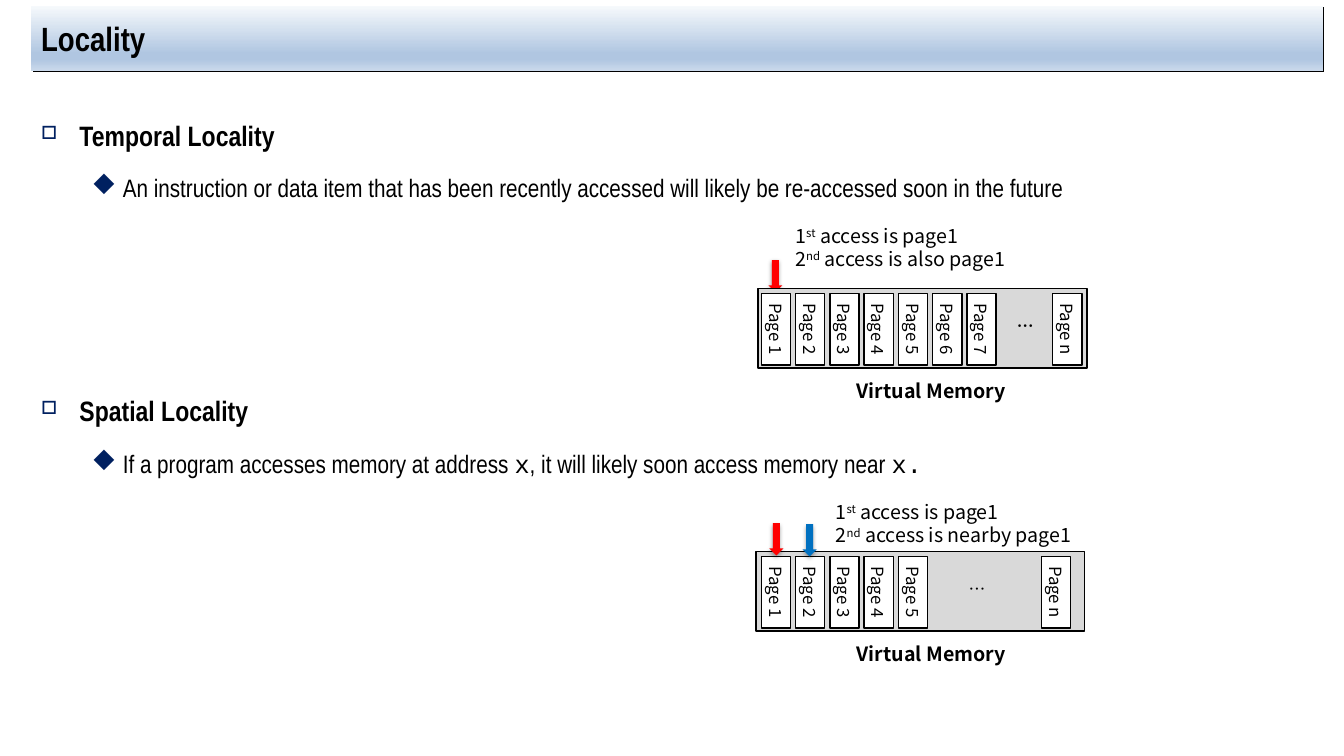
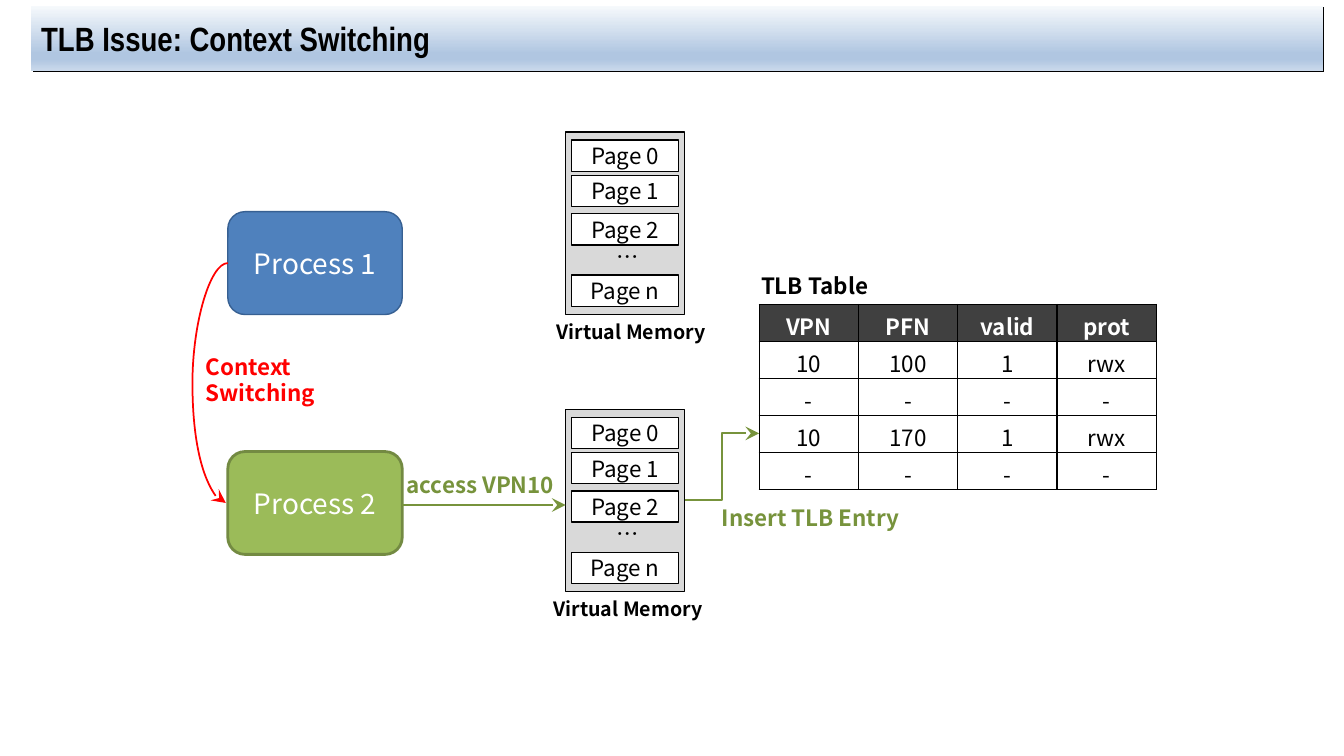
from lxml.etree import SubElement
from pptx import Presentation
from pptx.dml.color import RGBColor as Rgb
from pptx.enum.shapes import MSO_CONNECTOR as Link, MSO_SHAPE as Form
from pptx.enum.text import MSO_ANCHOR as Anchor, PP_ALIGN as Align
from pptx.oxml.ns import qn
from pptx.util import Inches, Pt

BLACK, WHITE = Rgb(0, 0, 0), Rgb(255, 255, 255)
GREY, DARK = Rgb(0xD9, 0xD9, 0xD9), Rgb(0x40, 0x40, 0x40)
RED, SKY, NAVY = Rgb(255, 0, 0), Rgb(0, 0x70, 0xC0), Rgb(0, 0x20, 0x60)
BLUE, STEEL = Rgb(0x4F, 0x81, 0xBD), Rgb(0x37, 0x60, 0x92)
GREEN, MOSS = Rgb(0x9B, 0xBB, 0x59), Rgb(0x73, 0x8A, 0x42)
OLIVE = Rgb(0x77, 0x93, 0x3C)
SANS, HEAD, CODE = "Noto Sans CJK KR", "Arial Narrow", "Courier New"
BAND = [(0, "F6F9FC"), (74, "B0C6E1"), (83, "B0C6E1"), (100, "CAD9EB")]

# Runs are (text, style); styles: "" plain, "sup" raised, "code" monospaced.
TOPICS = [
    (0.96, "Temporal Locality",
     [("An instruction or data item that has been recently accessed "
       "will likely be re-accessed soon in the future", "")]),
    (3.69, "Spatial Locality",
     [("If a program accesses memory at address ", ""), ("x", "code"),
      (", it will likely soon access memory near ", ""), ("x.", "code")]),
]
# Wingdings draws "o" as an open square and "u" as a solid diamond.
BULLETS = [("o", 65, 0.38, 0.38), ("u", 100, 0.81, 0.31)]
ROWS = [
    dict(mid=3.26, bar=7.52, first=7.7, step=0.34, count=7, last=10.59,
         dots=10.17, bold=True, note=(7.79, 2.17), word="also"),
    dict(mid=5.87, bar=7.5, first=7.7, step=0.34, count=5, last=10.48,
         dots=9.69, bold=False, note=(8.19, 4.91), word="nearby"),
]
STACKS = [(1.31, 5.3), (4.06, 5.27)]
PAGES = [("Page 0", 0.08), ("Page 1", 0.43), ("Page 2", 0.81),
         ("Page n", 1.42)]
TASKS = [("Process 1", 2.1, BLUE, STEEL, 1), ("Process 2", 4.48, GREEN, MOSS, 2)]
TLB = [("VPN", "PFN", "valid", "prot"), ("10", "100", "1", "rwx"),
       ("-",) * 4, ("10", "170", "1", "rwx"), ("-",) * 4]
LABELS = [
    (7.45, 2.65, 1.54, ["TLB Table"], BLACK, Align.LEFT),
    (1.94, 3.45, 1.48, ["Context", "Switching"], RED, Align.LEFT),
    (3.67, 4.62, 2.19, ["access VPN10"], OLIVE, Align.CENTER),
    (7.06, 4.95, 2.19, ["Insert TLB Entry"], OLIVE, Align.LEFT),
]
LINKS = [
    (Link.STRAIGHT, (3.99, 5.01), (5.61, 5.01), OLIVE, 1.5, None),
    (Link.ELBOW, (6.79, 4.96), (7.53, 4.3), OLIVE, 1.5, None),
    (Link.CURVE, (2.26, 2.61), (2.24, 4.99), RED, 1.25, 1750000),
]


def add_run(para, text, size, color=BLACK, bold=False, face=SANS, style=""):
    run = para.add_run()
    run.text = text
    font = run.font
    font.size, font.bold, font.color.rgb = Pt(size), bold, color
    font.name = CODE if style == "code" else face
    if style == "sup":
        run._r.get_or_add_rPr().set("baseline", "30000")


def write(frame, lines, size, align=Align.LEFT, **look):
    """Fill a frame; a line is a string or a list of (text, style) runs."""
    frame.word_wrap = True
    for num, line in enumerate(lines):
        para = frame.add_paragraph() if num else frame.paragraphs[0]
        para.alignment = align
        for text, style in [(line, "")] if isinstance(line, str) else line:
            add_run(para, text, size, style=style, **look)


def add_text(slide, x, y, w, h, lines, size, **look):
    box = slide.shapes.add_textbox(*map(Inches, (x, y, w, h)))
    write(box.text_frame, lines, size, **look)


def add_box(slide, form, x, y, w, h, fill=None, line=None, width=1):
    box = slide.shapes.add_shape(form, *map(Inches, (x, y, w, h)))
    box.shadow.inherit = False
    if fill is not None:
        box.fill.solid()
        box.fill.fore_color.rgb = fill
    if line is None:
        box.line.fill.background()
    else:
        box.line.color.rgb, box.line.width = line, Pt(width)
    return box


def add_page(slide, text, x, y, w, h, size, turn=0):
    page = add_box(slide, Form.RECTANGLE, x, y, w, h, WHITE, BLACK)
    page.rotation = turn
    frame = page.text_frame
    frame.margin_left = frame.margin_right = 0
    frame.vertical_anchor = Anchor.MIDDLE
    write(frame, [text], size, align=Align.CENTER)


def cast(shape, alpha, blur, dist, angle):
    """Give a shape an outer black shadow."""
    glow = SubElement(shape._element.spPr.find(qn("a:effectLst")),
                      qn("a:outerShdw"), blurRad=str(Pt(blur)),
                      dist=str(Pt(dist)), dir=str(angle * 60000),
                      algn="t", rotWithShape="0")
    tint = SubElement(glow, qn("a:srgbClr"), val="000000")
    SubElement(tint, qn("a:alpha"), val=str(alpha * 1000))


def add_title(slide, text):
    band = add_box(slide, Form.RECTANGLE, 0.31, 0.06, 12.81, 0.64)
    band.fill.gradient()
    band.fill.gradient_angle = 270
    stops = band._element.spPr.find(".//" + qn("a:gsLst"))
    for old in list(stops):
        stops.remove(old)
    for pos, tint in BAND:
        stop = SubElement(stops, qn("a:gs"), pos=str(pos * 1000))
        SubElement(stop, qn("a:srgbClr"), val=tint)
    cast(band, 100, 0, 1.4, 45)
    band.text_frame.vertical_anchor = Anchor.MIDDLE
    write(band.text_frame, [text], 24, bold=True, face=HEAD)


def add_topic(slide, top, head, body):
    box = slide.shapes.add_textbox(*map(Inches, (0.31, top, 12.81, 1.2)))
    frame = box.text_frame
    write(frame, [head], 20, bold=True, face=HEAD)
    para = frame.add_paragraph()
    for text, style in body:
        add_run(para, text, 18, face=HEAD, style=style)
    para.space_before = Pt(4)
    for para, (sign, size, left, hang) in zip(frame.paragraphs, BULLETS):
        para.line_spacing = 1.5
        props = para._p.get_or_add_pPr()
        props.set("marL", str(Inches(left)))
        props.set("indent", str(-Inches(hang)))
        tint = SubElement(props, qn("a:buClr"))
        SubElement(tint, qn("a:srgbClr"), val=str(NAVY))
        SubElement(props, qn("a:buSzPct"), val=str(size * 1000))
        SubElement(props, qn("a:buFont"), typeface="Wingdings",
                   pitchFamily="2", charset="2")
        SubElement(props, qn("a:buChar"), char=sign)


def add_arrow(slide, x, y, fill):
    cast(add_box(slide, Form.DOWN_ARROW, x, y, 0.14, 0.32, fill), 38, 3.1, 1.6, 90)


def add_row(slide, mid, bar, first, step, count, last, dots, bold, note, word):
    """Draw memory as a row of upright pages centred on height mid."""
    add_box(slide, Form.RECTANGLE, bar, mid - 0.4, 3.26, 0.79, GREY, BLACK)
    spots = [(f"Page {n + 1}", first + n * step) for n in range(count)]
    for text, x in spots + [("Page n", last)]:
        add_page(slide, text, x - 0.36, mid - 0.14, 0.71, 0.29, 12, 90)
    add_text(slide, dots - 0.35, mid - 0.18, 0.7, 0.3, ["…"], 12,
             align=Align.CENTER, bold=bold)
    add_text(slide, *note, 2.6, 0.57, [
        [("1", ""), ("st", "sup"), (" access is page1", "")],
        [("2", ""), ("nd", "sup"), (f" access is {word} page1", "")]], 14)
    add_text(slide, 8.4, mid + 0.45, 1.69, 0.34, ["Virtual Memory"], 14, bold=True)


def add_stack(slide, top, left):
    """Draw memory as a column of pages, with its caption at left."""
    add_box(slide, Form.RECTANGLE, 5.61, top, 1.18, 1.81, GREY, BLACK)
    for text, drop in PAGES:
        add_page(slide, text, 5.67, top + drop, 1.06, 0.31, 16)
    add_text(slide, 5.61, top + 1.05, 1.24, 0.37, ["…"], 16, align=Align.CENTER)
    add_text(slide, left, top + 1.81, 1.92, 0.34, ["Virtual Memory"], 14,
             align=Align.CENTER, bold=True)


def add_grid(slide):
    frame = slide.shapes.add_table(len(TLB), len(TLB[0]), *map(
        Inches, (7.53, 3.02, 3.94, 1.83)))
    grid = frame.table
    for row in grid.rows:
        row.height = Inches(0.3)
    for r, line in enumerate(TLB):
        for c, text in enumerate(line):
            cell = grid.cell(r, c)
            props = cell._tc.get_or_add_tcPr()
            for side in "LRTB":
                edge = SubElement(props, qn("a:ln" + side), w=str(Pt(1)))
                tint = SubElement(edge, qn("a:solidFill"))
                SubElement(tint, qn("a:srgbClr"), val=str(BLACK))
            if r:
                cell.fill.background()
            else:
                cell.fill.solid()
                cell.fill.fore_color.rgb = DARK
            write(cell.text_frame, [text], 16, align=Align.CENTER,
                  bold=not r, color=BLACK if r else WHITE)


def add_link(slide, form, start, end, color, width, bend):
    link = slide.shapes.add_connector(form, *map(Inches, start + end))
    link.line.color.rgb, link.line.width = color, Pt(width)
    props = link._element.spPr
    SubElement(props.find(qn("a:ln")), qn("a:tailEnd"), type="stealth",
               w="lg", len="lg")
    SubElement(props, qn("a:effectLst"))
    if bend:
        SubElement(props.find(qn("a:prstGeom")).find(qn("a:avLst")),
                   qn("a:gd"), name="adj1", fmla=f"val {bend}")


def draw_locality(slide):
    add_title(slide, "Locality")
    for topic in TOPICS:
        add_topic(slide, *topic)
    add_arrow(slide, 7.62, 2.58, RED)
    for row in ROWS:
        add_row(slide, **row)
    add_arrow(slide, 7.63, 5.19, RED)
    add_arrow(slide, 7.96, 5.2, SKY)


def draw_switch(slide):
    add_title(slide, "TLB Issue: Context Switching")
    for text, top, fill, line, width in TASKS:
        box = add_box(slide, Form.ROUNDED_RECTANGLE, 2.26, top, 1.73, 1.02,
                      fill, line, width)
        box.text_frame.vertical_anchor = Anchor.MIDDLE
        write(box.text_frame, [text], 20, align=Align.CENTER, color=WHITE)
    for stack in STACKS:
        add_stack(slide, *stack)
    add_grid(slide)
    for link in LINKS:
        add_link(slide, *link)
    for x, y, w, lines, color, align in LABELS:
        add_text(slide, x, y, w, 0.1 + 0.27 * len(lines), lines, 16,
                 align=align, color=color, bold=True)


def main():
    deck = Presentation()
    deck.slide_width, deck.slide_height = Inches(13.33), Inches(7.5)
    for draw in (draw_locality, draw_switch):
        draw(deck.slides.add_slide(deck.slide_layouts[6]))
    deck.save("out.pptx")


if __name__ == "__main__":
    main()
